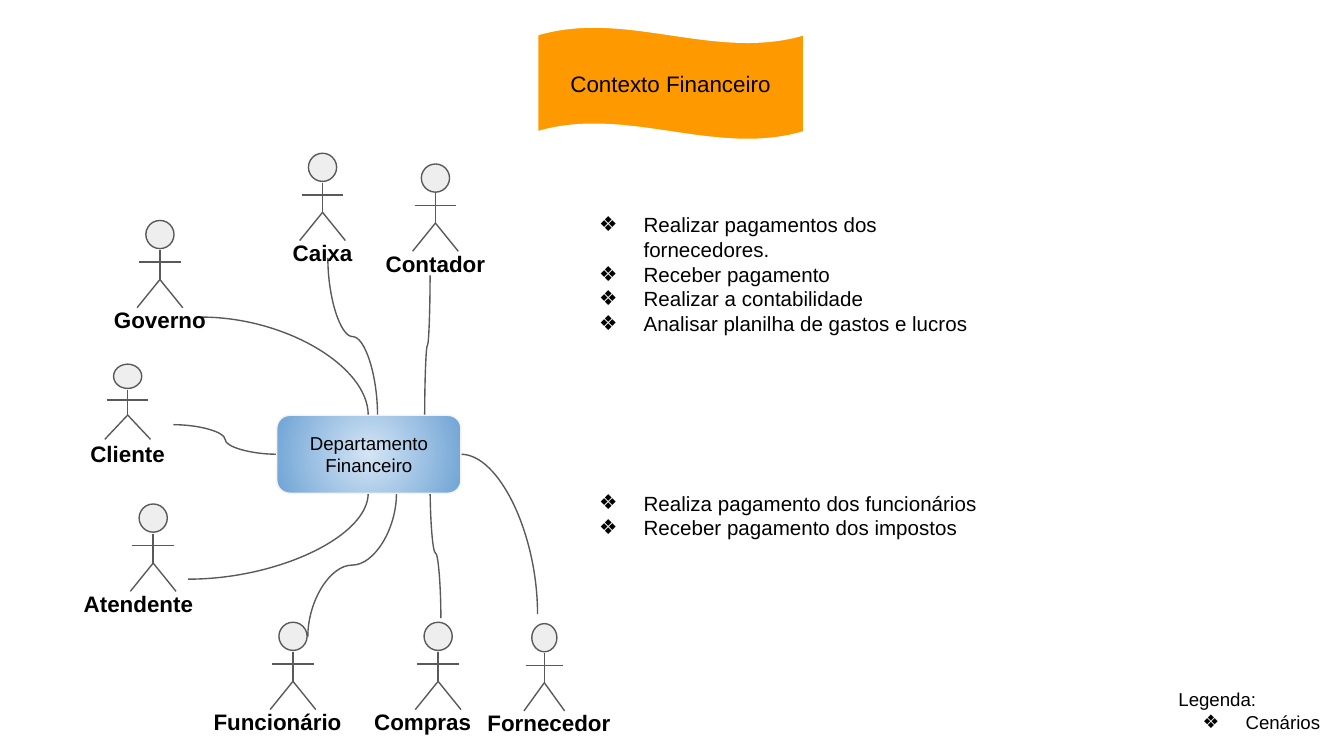
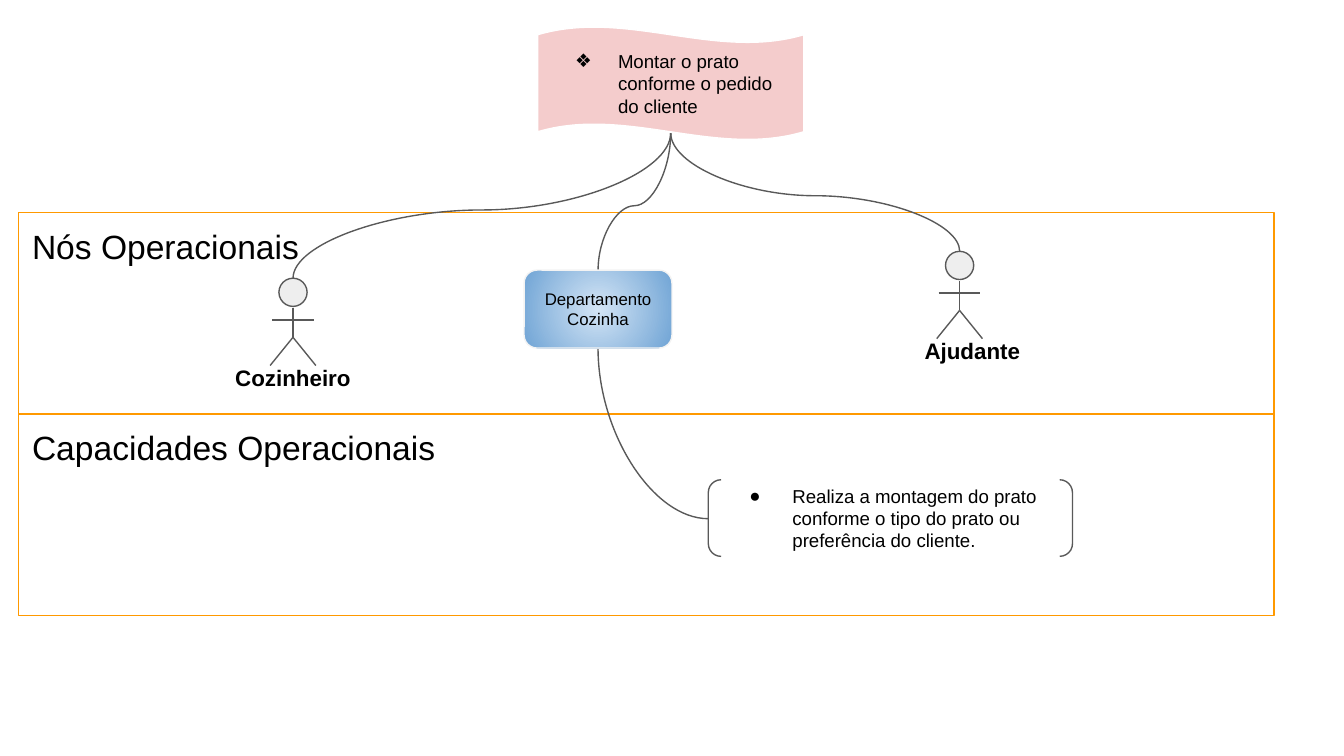
from lxml import etree
from pptx import Presentation
from pptx.dml.color import RGBColor
from pptx.enum.shapes import MSO_CONNECTOR, MSO_SHAPE
from pptx.enum.text import MSO_ANCHOR, PP_ALIGN
from pptx.oxml.ns import qn
from pptx.util import Inches, Pt

COLORS = {
    "text": "000000", "stroke": "595959", "head": "EEEEEE", "orange": "FF9900",
    "pink": "F4CCCC", "white": "FFFFFF", "node_edge": "F3F3F3",
    "node_center": "D4E5F5", "node_rim": "70A4D5",
}
FONT = "Arial"
BULLETS = "❖●"
BANNER_BOX = (4, 0.2, 1.98, 0.84)
CENTER, LEFT = PP_ALIGN.CENTER, PP_ALIGN.LEFT


def add_block(shapes, kind, box, lines=(), size=10, align=LEFT, bold=False,
              anchor=MSO_ANCHOR.MIDDLE, fill=None, edge=None):
    """Add a preset shape, or a text box if kind is None; "❖ text" is a bullet."""
    place = [Inches(value) for value in box]
    if kind is None:
        shape = shapes.add_textbox(*place)
    else:
        shape = shapes.add_shape(kind, *place)
        shape.shadow.inherit = False
        shape.line.color.rgb = RGBColor.from_string(COLORS[edge])
        shape.line.width = Pt(0.75)
        if fill:
            shape.fill.solid()
            shape.fill.fore_color.rgb = RGBColor.from_string(COLORS[fill])
        else:
            shape.fill.background()
    frame = shape.text_frame
    frame.word_wrap = True
    frame.vertical_anchor = anchor
    frame.margin_left = frame.margin_right = Inches(0.1)
    frame.margin_top = frame.margin_bottom = Inches(0.1)
    for index, line in enumerate(lines):
        para = frame.paragraphs[0] if index == 0 else frame.add_paragraph()
        para.alignment = align
        if line[0] in BULLETS:
            para.text = line[2:]
            props = para._p.get_or_add_pPr()
            props.set("marL", str(Inches(0.5)))
            props.set("indent", str(-Inches(0.33 if size == 11 else 0.32)))
            color = etree.SubElement(props, qn("a:buClr"))
            etree.SubElement(color, qn("a:srgbClr"), val=COLORS["text"])
            etree.SubElement(props, qn("a:buFont"), typeface=FONT)
            etree.SubElement(props, qn("a:buChar"), char=line[0])
        else:
            para.text = line
        for span in para.runs:
            span.font.name = FONT
            span.font.size = Pt(size)
            span.font.bold = bold
            span.font.color.rgb = RGBColor.from_string(COLORS["text"])
    return shape


def add_link(shapes, start, end, style="straight", bend=0.5):
    """Join two points: straight, quarter (one bend), across or down (S curves).

    A "down" link must be given from its upper end to its lower end.
    """
    (x1, y1), (x2, y2) = start, end
    turn = 0
    if style == "down":
        # The curve is laid out sideways around its middle, then turned upright.
        side = 1 if x2 > x1 else -1
        turn = 270 if x2 > x1 else 90
        mid_x, mid_y = (x1 + x2) / 2, (y1 + y2) / 2
        half_length, half_height = (y2 - y1) / 2, abs(x2 - x1) / 2
        x1, x2 = mid_x + side * half_length, mid_x - side * half_length
        y1, y2 = mid_y - half_height, mid_y + half_height
    kind = MSO_CONNECTOR.STRAIGHT if style == "straight" else MSO_CONNECTOR.CURVE
    link = shapes.add_connector(kind, *[Inches(value) for value in (x1, y1, x2, y2)])
    link.line.color.rgb = RGBColor.from_string(COLORS["stroke"])
    link.line.width = Pt(0.75)
    props = link._element.spPr
    etree.SubElement(props, qn("a:effectLst"))
    geometry = props.find(qn("a:prstGeom"))
    if turn:
        props.find(qn("a:xfrm")).set("rot", str(turn * 60000))
    if style == "quarter":
        geometry.set("prst", "curvedConnector2")
    elif bend != 0.5:
        guides = geometry.find(qn("a:avLst"))
        etree.SubElement(guides, qn("a:gd"), name="adj1", fmla=f"val {round(bend * 100000)}")


deck = Presentation()
deck.slide_width, deck.slide_height = Inches(10), Inches(5.625)
finance, kitchen = [deck.slides.add_slide(deck.slide_layouts[6]) for _ in range(2)]

# Operational bands of the kitchen slide
for band, title in enumerate(["Nós Operacionais", "Capacidades Operacionais"]):
    add_block(kitchen.shapes, MSO_SHAPE.RECTANGLE, (0.14, 1.58 + 1.5 * band, 9.34, 1.5),
              [title], 18, anchor=MSO_ANCHOR.TOP, edge="orange")

# Banners
for page, line, size, align, fill in [
    (finance, "Contexto Financeiro", 12, CENTER, "orange"),
    (kitchen, "❖ Montar o prato conforme o pedido do cliente", 10, LEFT, "pink"),
]:
    banner = add_block(page.shapes, MSO_SHAPE.WAVE, BANNER_BOX, [line], size, align,
                       fill=fill, edge="white")
    banner.adjustments[0] = 0.07

# Curved links
for page, start, end, style, bend in [
    (finance, (1.5, 2.36), (2.74, 3.09), "quarter", 0.5),
    (finance, (1.4, 4.31), (2.74, 3.67), "quarter", 0.5),
    (finance, (3.43, 3.38), (4, 4.57), "quarter", 0.5),
    (finance, (1.29, 3.16), (2.06, 3.38), "across", 0.5),
    (finance, (2.44, 1.92), (2.81, 3.09), "down", 0.5),
    (finance, (3.2, 2.05), (3.16, 3.09), "down", 0.5),
    (finance, (2.95, 3.67), (2.29, 4.74), "down", 0.5),
    (finance, (3.2, 3.63), (3.28, 4.6), "down", 0.5),
    (kitchen, (4.99, 0.99), (2.18, 2.07), "down", 0.53),
    (kitchen, (4.99, 0.99), (4.45, 2.01), "down", 0.53),
    (kitchen, (4.99, 0.99), (7.14, 1.87), "down", 0.53),
    (kitchen, (5.27, 3.86), (4.45, 2.59), "quarter", 0.5),
]:
    add_link(page.shapes, start, end, style, bend)

# Departments
for page, box, name, size in [
    (finance, (2.06, 3.09, 1.37, 0.58), "Departamento Financeiro", 10),
    (kitchen, (3.9, 2.01, 1.1, 0.58), "Departamento Cozinha", 9),
]:
    node = add_block(page.shapes, MSO_SHAPE.ROUNDED_RECTANGLE, box, [name], size, CENTER,
                     edge="node_edge")
    node.fill.gradient()
    for stop, color in zip(node.fill.gradient_stops, ["node_center", "node_rim"]):
        stop.color.rgb = RGBColor.from_string(COLORS[color])
    gradient = node._element.spPr.find(qn("a:gradFill"))
    gradient.remove(gradient.find(qn("a:lin")))
    radial = etree.SubElement(gradient, qn("a:path"), path="circle")
    etree.SubElement(radial, qn("a:fillToRect"), l="50000", t="50000", r="50000", b="50000")

# Actors: middle and top of the figure, left and width of the label, scale across and down
for page, name, mid, top, label_left, label_width, across, down in [
    (finance, "Atendente", 1.14, 3.75, 0.47, 1.12, 1, 1),
    (finance, "Governo", 1.19, 1.64, 0.63, 1.12, 1, 1),
    (finance, "Funcionário", 2.18, 4.63, 1.39, 1.35, 1, 1),
    (finance, "Compras", 3.26, 4.63, 2.47, 1.35, 1, 1),
    (finance, "Contador", 3.24, 1.22, 2.68, 1.12, 1, 1),
    (finance, "Caixa", 2.4, 1.14, 1.84, 1.12, 1, 1),
    (finance, "Cliente", 0.95, 2.71, 0.39, 1.12, 1, 0.86),
    (finance, "Fornecedor", 4.05, 4.64, 3.35, 1.47, 0.89, 1),
    (kitchen, "Cozinheiro", 2.18, 2.07, 1.62, 1.12, 1, 1),
    (kitchen, "Ajudante", 7.14, 1.87, 6.69, 1.09, 1, 1),
]:
    actor = page.shapes.add_group_shape().shapes
    add_block(actor, MSO_SHAPE.FLOWCHART_CONNECTOR,
              (mid - 0.105 * across, top, 0.21 * across, 0.21 * down),
              fill="head", edge="stroke")
    for x1, y1, x2, y2 in [
        (0, 0.22, 0, 0.44),            # body
        (-0.155, 0.31, 0.155, 0.31),   # arms
        (0, 0.44, -0.17, 0.65),        # left leg
        (0, 0.44, 0.17, 0.65),         # right leg
    ]:
        add_link(actor, (mid + x1 * across, top + y1 * down),
                 (mid + x2 * across, top + y2 * down))
    add_block(actor, None, (label_left, top + 0.54 * down, label_width, 0.37 * down),
              [name], 12, CENTER, bold=True, anchor=MSO_ANCHOR.TOP)

# Scenario lists and legend
for box, size, lines in [
    ((4.19, 1.48, 3.32, 1.22), 11, [
        "❖ Realizar pagamentos dos fornecedores.",
        "❖ Receber pagamento",
        "❖ Realizar a contabilidade",
        "❖ Analisar planilha de gastos e lucros",
    ]),
    ((4.19, 3.55, 3.32, 0.91), 11, [
        "❖ Realiza pagamento dos funcionários",
        "❖ Receber pagamento dos impostos",
    ]),
    ((8.67, 5.02, 1.27, 0.52), 10, ["Legenda:", "❖ Cenários"]),
]:
    add_block(finance.shapes, None, box, lines, size, anchor=MSO_ANCHOR.TOP)

# Capability of the kitchen
add_block(kitchen.shapes, MSO_SHAPE.DOUBLE_BRACKET, (5.27, 3.57, 2.71, 0.57),
          ["● Realiza a montagem do prato conforme o tipo do prato ou preferência do cliente."],
          edge="stroke")

deck.save("out.pptx")
